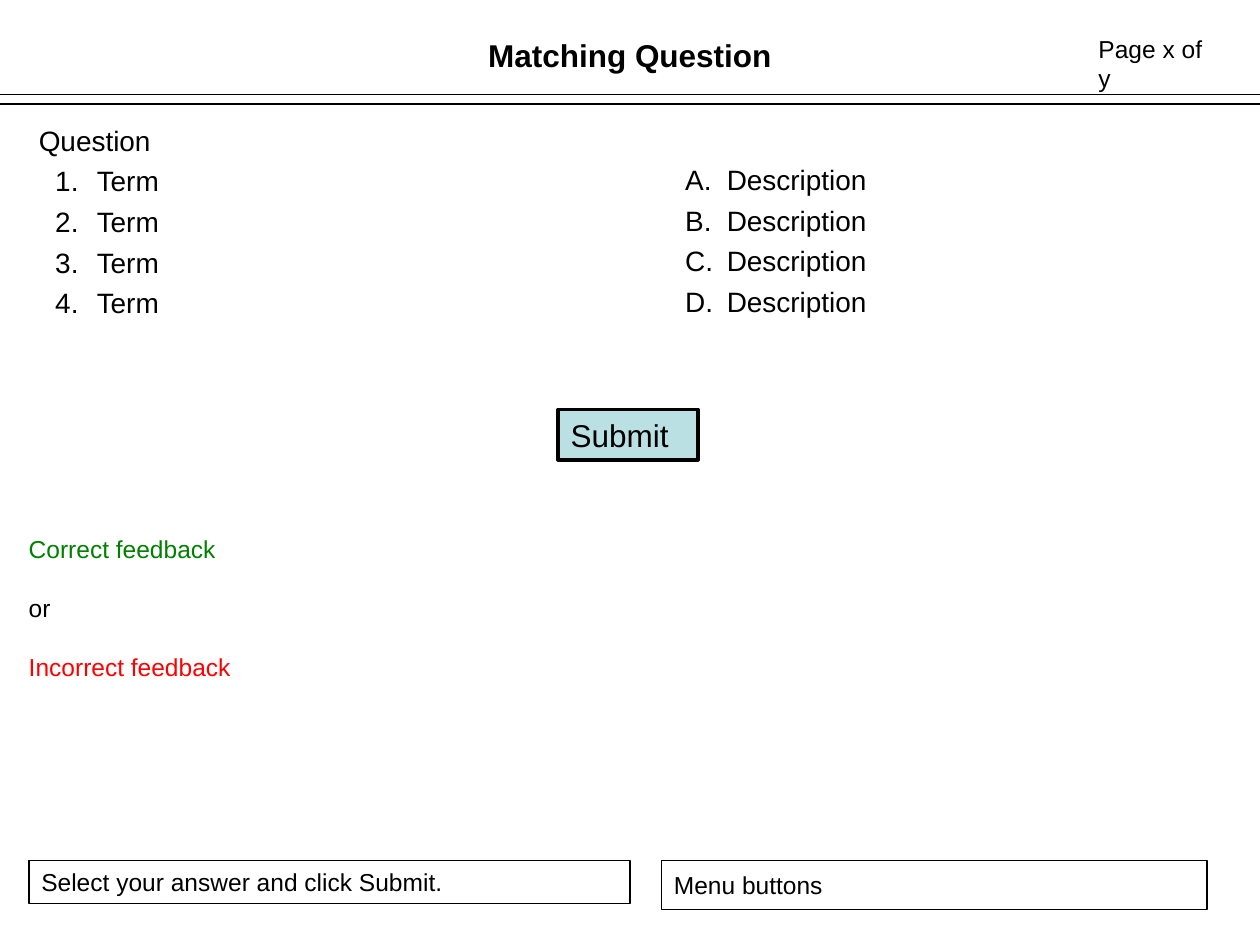
from lxml import etree
from pptx import Presentation
from pptx.dml.color import RGBColor
from pptx.enum import shapes, text
from pptx.oxml import ns
from pptx.util import Inches, Pt

BLACK = RGBColor(0x00, 0x00, 0x00)
GREEN = RGBColor(0x00, 0x80, 0x00)
RED = RGBColor(0xFF, 0x00, 0x00)
PALE_TEAL = RGBColor(0xBB, 0xE0, 0xE3)

deck = Presentation()
deck.slide_width, deck.slide_height = Inches(10), Inches(7.5)
page = deck.slides.add_slide(deck.slide_layouts[6])


def write(holder, lines, size=14, bold=False, align=text.PP_ALIGN.LEFT,
          anchor=text.MSO_ANCHOR.TOP, wrap=True, before=0):
    frame = holder.text_frame
    frame.word_wrap = wrap
    frame.vertical_anchor = anchor
    for index, (words, color, numbering) in enumerate(lines):
        line = frame.paragraphs[0] if index == 0 else frame.add_paragraph()
        line.alignment = align
        line.space_before = Pt(before)
        run = line.add_run()
        run.text = words
        run.font.name = "Arial"
        run.font.size = Pt(size)
        run.font.bold = bold
        run.font.color.rgb = color
        if numbering:
            properties = line._p.get_or_add_pPr()
            properties.set("marL", str(Inches(0.46)))
            properties.set("indent", str(Inches(-0.33)))
            etree.SubElement(properties, ns.qn("a:buFont"), typeface="Arial")
            etree.SubElement(properties, ns.qn("a:buAutoNum"), type=numbering)


for y in (0.75, 0.82, 0.83):
    rule = page.shapes.add_connector(
        shapes.MSO_CONNECTOR.STRAIGHT, Inches(0), Inches(y), Inches(10), Inches(y))
    rule.line.color.rgb = BLACK
    rule.line.width = Pt(0.75)
    etree.SubElement(rule._element.spPr, ns.qn("a:effectLst"))

top, middle = text.MSO_ANCHOR.TOP, text.MSO_ANCHOR.MIDDLE
for words, left, y, width, height, fill, weight, size, anchor, before in (
    ("Select your answer and click Submit.", 0.23, 6.83, 4.77, 0.34, None, 0.75, 14, top, 0),
    ("Menu buttons", 5.25, 6.83, 4.33, 0.39, None, 0.75, 14, middle, 0),
    ("Submit", 4.43, 3.25, 1.11, 0.4, PALE_TEAL, 2, 18, top, 11.2),
):
    box = page.shapes.add_shape(
        shapes.MSO_SHAPE.RECTANGLE, Inches(left), Inches(y), Inches(width), Inches(height))
    box.shadow.inherit = False
    if fill:
        box.fill.solid()
        box.fill.fore_color.rgb = fill
    else:
        box.fill.background()
    box.line.color.rgb = BLACK
    box.line.width = Pt(weight)
    write(box, [(words, BLACK, None)], size=size, anchor=anchor, before=before)

page_count = page.shapes.add_textbox(Inches(8.62), Inches(0.22), Inches(1.17), Inches(0.34))
write(page_count, [("Page x of y", BLACK, None)], wrap=False)

feedback = page.shapes.add_textbox(Inches(0.13), Inches(4.19), Inches(9.76), Inches(1.5))
write(feedback, [("Correct feedback", GREEN, None), ("or", BLACK, None),
                 ("Incorrect feedback", RED, None)])
for line in feedback.text_frame.paragraphs[1:]:
    line.space_before = Pt(17)

title = page.shapes.add_textbox(Inches(0.5), Inches(0.18), Inches(9), Inches(0.51))
write(title, [("Matching Question", BLACK, None)], size=18, bold=True,
      align=text.PP_ALIGN.CENTER, anchor=middle)

terms = page.shapes.add_textbox(Inches(0.21), Inches(0.93), Inches(4.79), Inches(5.65))
write(terms, [("Question", BLACK, None)] + [("Term", BLACK, "arabicPeriod")] * 4,
      size=16, before=4)

descriptions = page.shapes.add_textbox(Inches(5.21), Inches(1.24), Inches(4.79), Inches(5.25))
write(descriptions, [("Description", BLACK, "alphaUcPeriod")] * 4, size=16, before=4)

deck.save("out.pptx")
